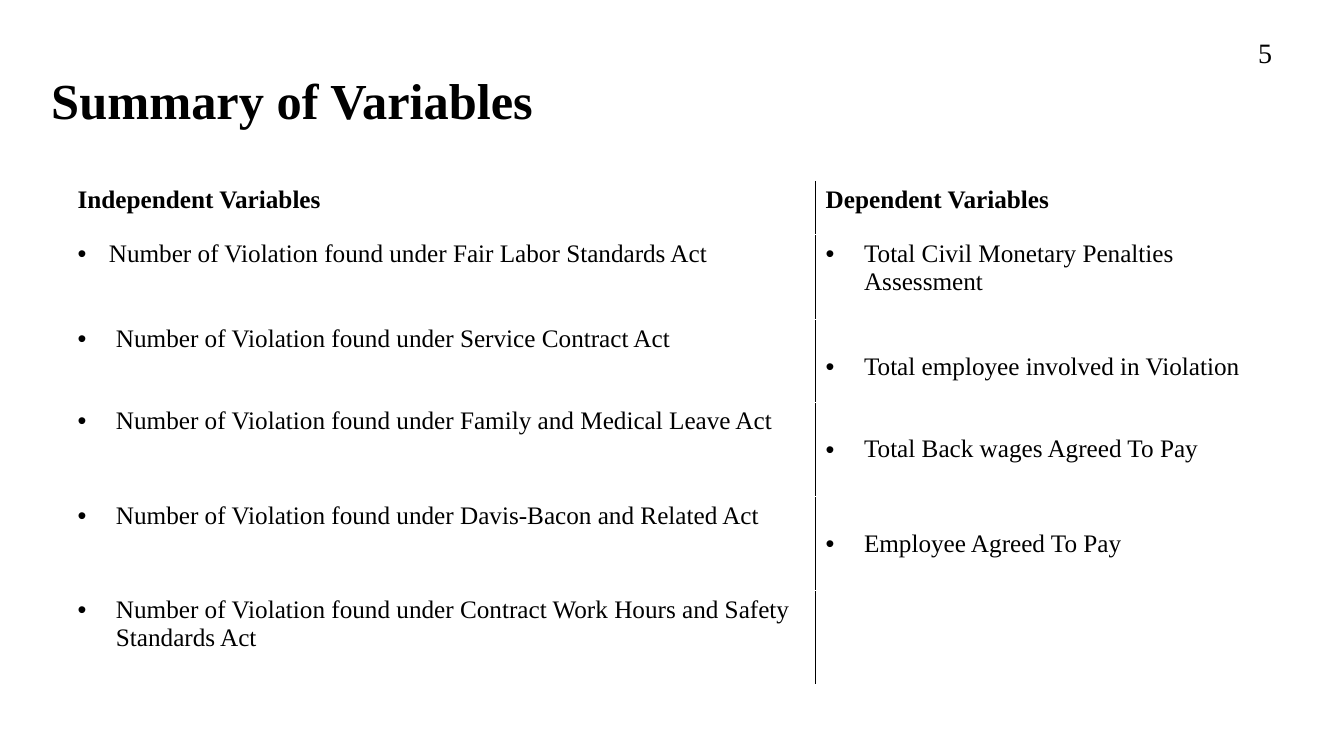
from pptx import Presentation
from pptx.dml.color import RGBColor
from pptx.enum import text
from pptx.oxml import parse_xml
from pptx.oxml import ns
from pptx.util import Inches, Pt

COLORS = {"ink": "000000"}
FONT = "Times New Roman"
COLUMN_WIDTHS = [7.42, 4.84]
ROW_HEIGHTS = [0.53, 0.84, 0.82, 0.94, 0.93, 0.93]
HEADINGS = ["Independent Variables", "Dependent Variables"]
VARIABLES = [
    ("Number of Violation found under Fair Labor Standards Act",
     "Total Civil Monetary Penalties Assessment"),
    ("Number of Violation found under Service Contract Act",
     "Total employee involved in Violation"),
    ("Number of Violation found under Family and Medical Leave Act",
     "Total Back wages Agreed To Pay"),
    ("Number of Violation found under Davis-Bacon and Related Act",
     "Employee Agreed To Pay"),
    ("Number of Violation found under Contract Work Hours and Safety Standards Act",
     ""),
]


def add_span(para, words, size, bold=False):
    span = para.add_run()
    span.text = words
    span.font.name = FONT
    span.font.size = Pt(size)
    span.font.bold = bold
    span.font.color.rgb = RGBColor.from_string(COLORS["ink"])


def add_label(page, words, left, top, width, height, size, bold=False):
    box = page.shapes.add_textbox(Inches(left), Inches(top), Inches(width), Inches(height))
    box.text_frame.word_wrap = True
    add_span(box.text_frame.paragraphs[0], words, size, bold)
    return box.text_frame


def add_bullet(para, indent):
    properties = para._p.get_or_add_pPr()
    properties.set("marL", str(Inches(indent)))
    properties.set("indent", str(-Inches(indent)))
    for xml in ('<a:buFont %s typeface="Arial"/>', '<a:buChar %s char="•"/>'):
        properties.append(parse_xml(xml % ns.nsdecls("a")))


def add_divider(cell, side):
    line = parse_xml(
        f'<a:{side} {ns.nsdecls("a")} w="{Pt(1)}"><a:solidFill>'
        f'<a:srgbClr val="{COLORS["ink"]}"/></a:solidFill></a:{side}>')
    cell._tc.get_or_add_tcPr().insert(0, line)


def add_title(page, left, top, width, height):
    frame = add_label(page, "Summary of Variables", left, top, width, height, 36, True)
    frame.vertical_anchor = text.MSO_ANCHOR.BOTTOM
    frame.paragraphs[0].line_spacing = 0.9


def add_variables_table(page, left, top):
    frame = page.shapes.add_table(
        len(ROW_HEIGHTS), len(COLUMN_WIDTHS), Inches(left), Inches(top),
        Inches(sum(COLUMN_WIDTHS)), Inches(sum(ROW_HEIGHTS)))
    table = frame.table
    table.first_row = table.horz_banding = False
    for column, width in zip(table.columns, COLUMN_WIDTHS):
        column.width = Inches(width)
    for row, height in zip(table.rows, ROW_HEIGHTS):
        row.height = Inches(height)

    for r, entries in enumerate([HEADINGS, *VARIABLES]):
        for c, words in enumerate(entries):
            cell = table.cell(r, c)
            cell.fill.background()
            add_divider(cell, "lnL" if c else "lnR")
            if not words:
                continue
            para = cell.text_frame.paragraphs[0]
            if r:
                add_bullet(para, 0.31 if (r, c) == (1, 0) else 0.38)
            # Dependent variables sit one line lower from the second entry on
            if c and r > 1:
                cell.margin_top = Inches(0.33)
            add_span(para, words, 18, bold=r == 0)


def main():
    deck = Presentation()
    deck.slide_width, deck.slide_height = Inches(13.33), Inches(7.5)
    page = deck.slides.add_slide(deck.slide_layouts[6])
    # Title and page number
    add_title(page, 0.41, 0.73, 10.12, 0.61)
    add_label(page, "5", 12.38, 0.3, 0.54, 0.44, 20)
    # Variables in two columns
    add_variables_table(page, 0.67, 1.8)
    deck.save("out.pptx")


if __name__ == "__main__":
    main()
